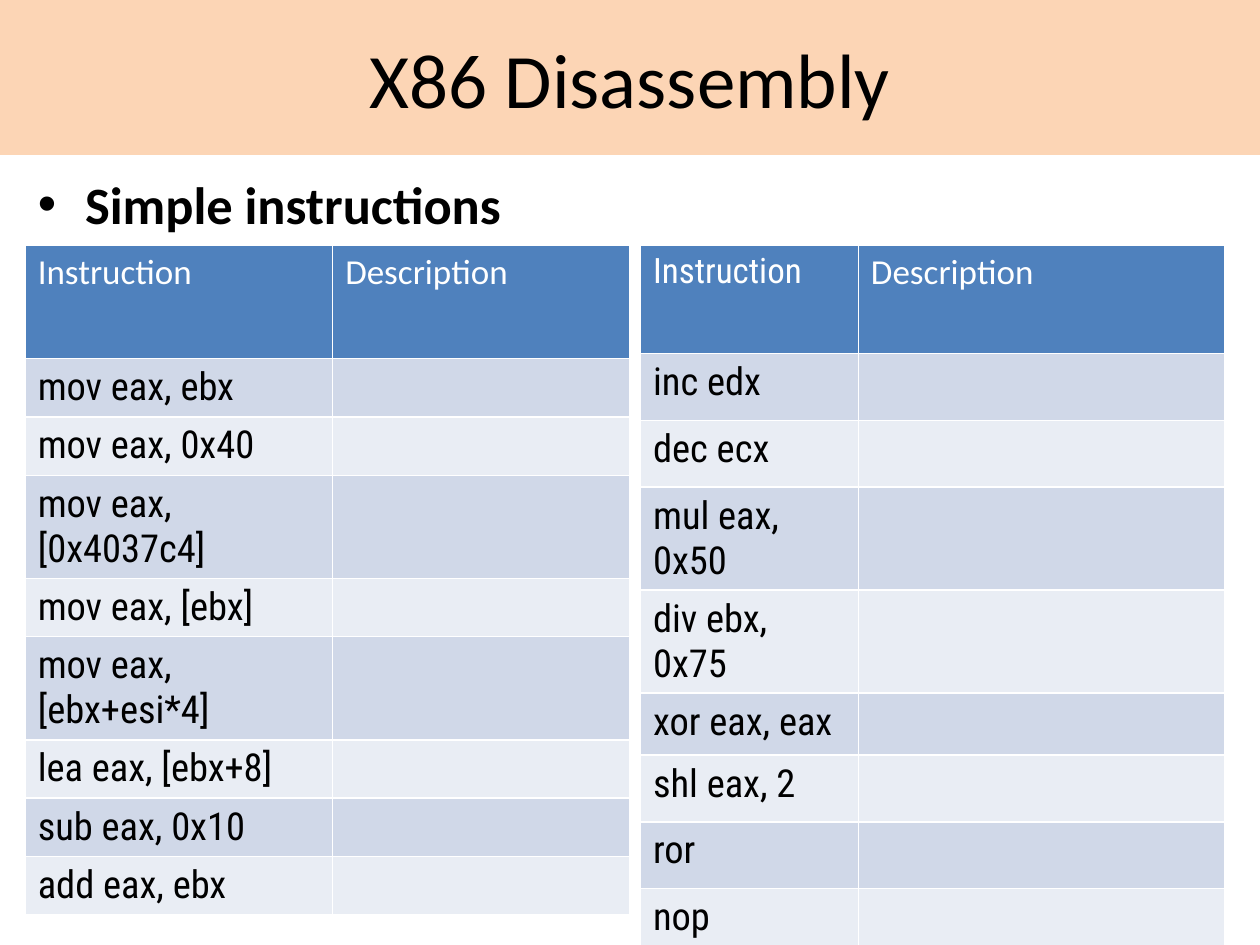
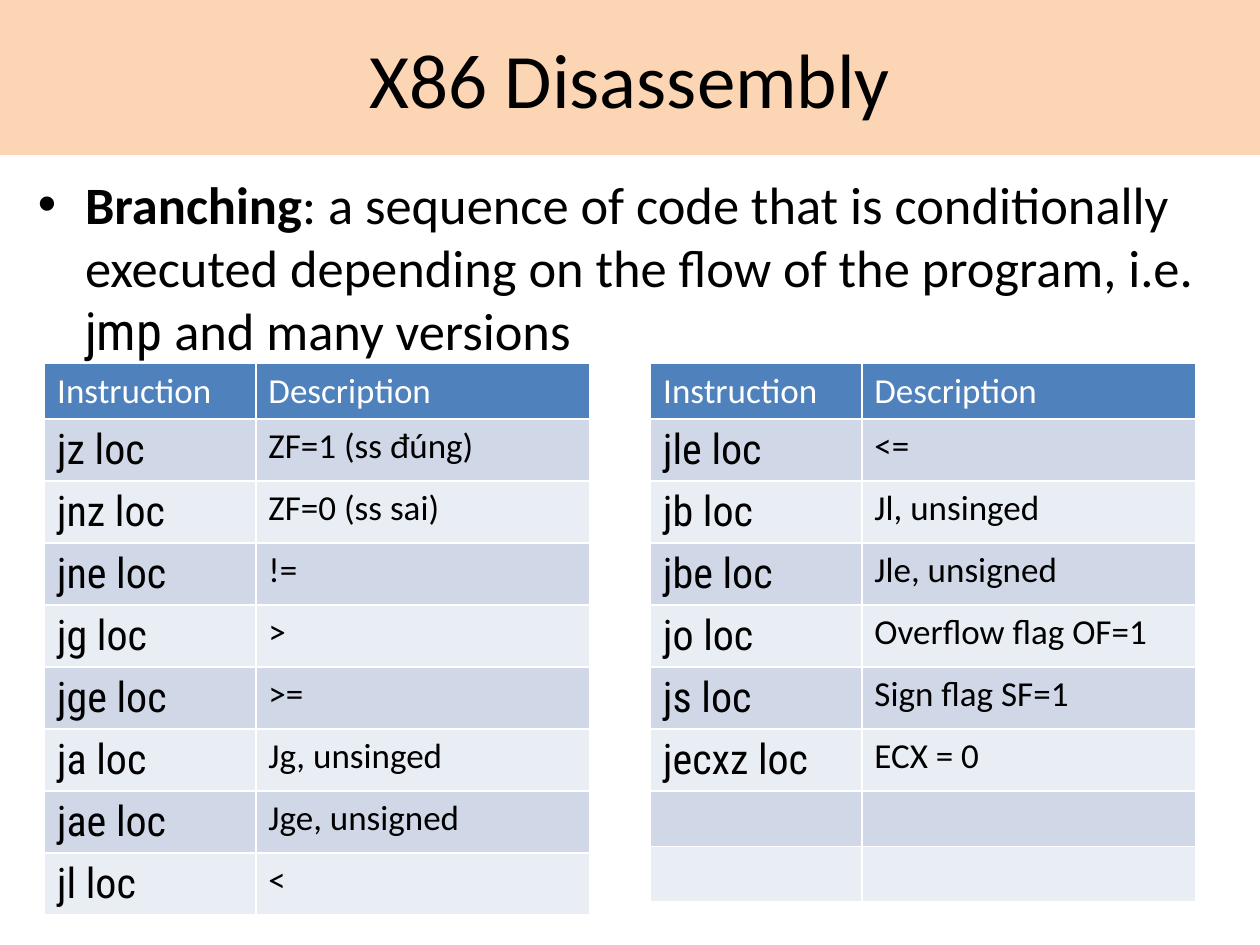
from lxml import etree
from pptx import Presentation
from pptx.dml.color import RGBColor
from pptx.enum.text import MSO_ANCHOR, MSO_AUTO_SIZE, PP_ALIGN
from pptx.oxml.ns import qn
from pptx.util import Pt

CENTER = PP_ALIGN.CENTER
MIDDLE = MSO_ANCHOR.MIDDLE
NO_FIT = MSO_AUTO_SIZE.NONE

PEACH = RGBColor(0xFC, 0xD5, 0xB5)
BLUE = RGBColor(0x4F, 0x81, 0xBD)
BANDS = (RGBColor(0xD0, 0xD8, 0xE8), RGBColor(0xE9, 0xED, 0xF4))
WHITE = RGBColor(0xFF, 0xFF, 0xFF)
BLACK = RGBColor(0, 0, 0)

SANS = "Calibri"
CODE = "Roboto Condensed"
HEADS = ("Instruction", "Description")
CELL_SIZE = 20

# Instructions and their meanings
MOVES = ["mov eax, ebx", "mov eax, 0x40", "mov eax, [0x4037c4]", "mov eax, [ebx]",
         "mov eax, [ebx+esi*4]", "lea eax, [ebx+8]", "sub eax, 0x10", "add eax, ebx"]
MATHS = ["inc edx", "dec ecx", "mul eax, 0x50", "div ebx, 0x75",
         "xor eax, eax", "shl eax, 2", "ror", "nop"]
JUMPS = [("jz loc", "ZF=1 (ss đúng)"), ("jnz loc", "ZF=0 (ss sai)"),
         ("jne loc", "!="), ("jg loc", ">"), ("jge loc", ">="),
         ("ja loc", "Jg, unsinged"), ("jae loc", "Jge, unsigned"), ("jl loc", "<")]
MORE = [("jle loc", "<="), ("jb loc", "Jl, unsinged"), ("jbe loc", "Jle, unsigned"),
        ("jo loc", "Overflow flag OF=1"), ("js loc", "Sign flag SF=1"),
        ("jecxz loc", "ECX = 0"), ("", ""), ("", "")]


def style(run, size, face=SANS, color=BLACK, bold=False):
    font = run.font
    font.size, font.name, font.bold = Pt(size), face, bold
    font.color.rgb = color


def place(shape, left, top, width, height):
    shape.left, shape.top = Pt(left), Pt(top)
    shape.width, shape.height = Pt(width), Pt(height)


def add_page(deck, lead):
    """Add a slide with the title band and one bullet of (text, face, bold) runs."""
    slide = deck.slides.add_slide(deck.slide_layouts[1])

    # Title band
    title = slide.shapes.title
    place(title, 0, 0, 720, 88.5)
    title.fill.solid()
    title.fill.fore_color.rgb = PEACH
    title.text_frame.text = "X86 Disassembly"
    title.text_frame.vertical_anchor = MIDDLE
    para = title.text_frame.paragraphs[0]
    para.alignment = CENTER
    style(para.runs[0], 44)

    # Lead bullet
    body = slide.placeholders[1]
    place(body, 14.4, 94.5, 692, 402.5)
    body.text_frame.auto_size = NO_FIT
    para = body.text_frame.paragraphs[0]
    para.space_before = Pt(0)
    for text, face, bold in lead:
        run = para.add_run()
        run.text = text
        style(run, 30, face, bold=bold)
    return slide


def fill_cell(cell, text, fill, size, face, color):
    cell.fill.solid()
    cell.fill.fore_color.rgb = fill
    para = cell.text_frame.paragraphs[0]
    if text:
        para.text = text
        style(para.runs[0], size, face, color)
    else:
        # An empty cell keeps its line height through the end mark
        mark = etree.SubElement(para._p, qn("a:endParaRPr"))
        mark.set("sz", str(size * 100))


def add_grid(slide, spot, cols, heights, rows, size, face=SANS):
    """Add a banded table; size sets the code text, face the first heading."""
    frame = slide.shapes.add_table(len(rows) + 1, len(cols), Pt(spot[0]), Pt(spot[1]),
                                   Pt(sum(cols)), Pt(sum(heights)))
    table = frame.table
    for col, width in zip(table.columns, cols):
        col.width = Pt(width)
    for row, height in zip(table.rows, heights):
        row.height = Pt(height)

    # Heading row
    for col, (text, font) in enumerate(zip(HEADS, (face, SANS))):
        fill_cell(table.cell(0, col), text, BLUE, CELL_SIZE, font, WHITE)

    # Banded rows
    for num, (code, note) in enumerate(rows):
        band = BANDS[num % 2]
        code_size = size if code else CELL_SIZE
        fill_cell(table.cell(num + 1, 0), code, band, code_size, CODE, BLACK)
        fill_cell(table.cell(num + 1, 1), note, band, CELL_SIZE, SANS, BLACK)


def main():
    deck = Presentation()
    deck.slide_width, deck.slide_height = Pt(720), Pt(540)

    # Simple instructions
    slide = add_page(deck, [("Simple instructions", SANS, True)])
    add_grid(slide, (14.4, 140), (175.7, 170), [64.8] + [33.4] * 8,
             [(code, "") for code in MOVES], 22)
    add_grid(slide, (366, 140), (124.5, 209.5), [62] + [38.2] * 4 + [35.4] + [38.2] * 3,
             [(code, "") for code in MATHS], 22, CODE)

    # Branching
    slide = add_page(deck, [
        ("Branching", SANS, True),
        (": a sequence of code that is conditionally executed depending on "
         "the flow of the program, i.e. ", SANS, False),
        ("jmp ", CODE, False),
        ("and many versions", SANS, False)])
    for left, rows in ((25.5, JUMPS), (371.8, MORE)):
        add_grid(slide, (left, 207.6), (120.7, 191), [24.5] * 9, rows, 24)

    deck.save("out.pptx")


if __name__ == "__main__":
    main()
